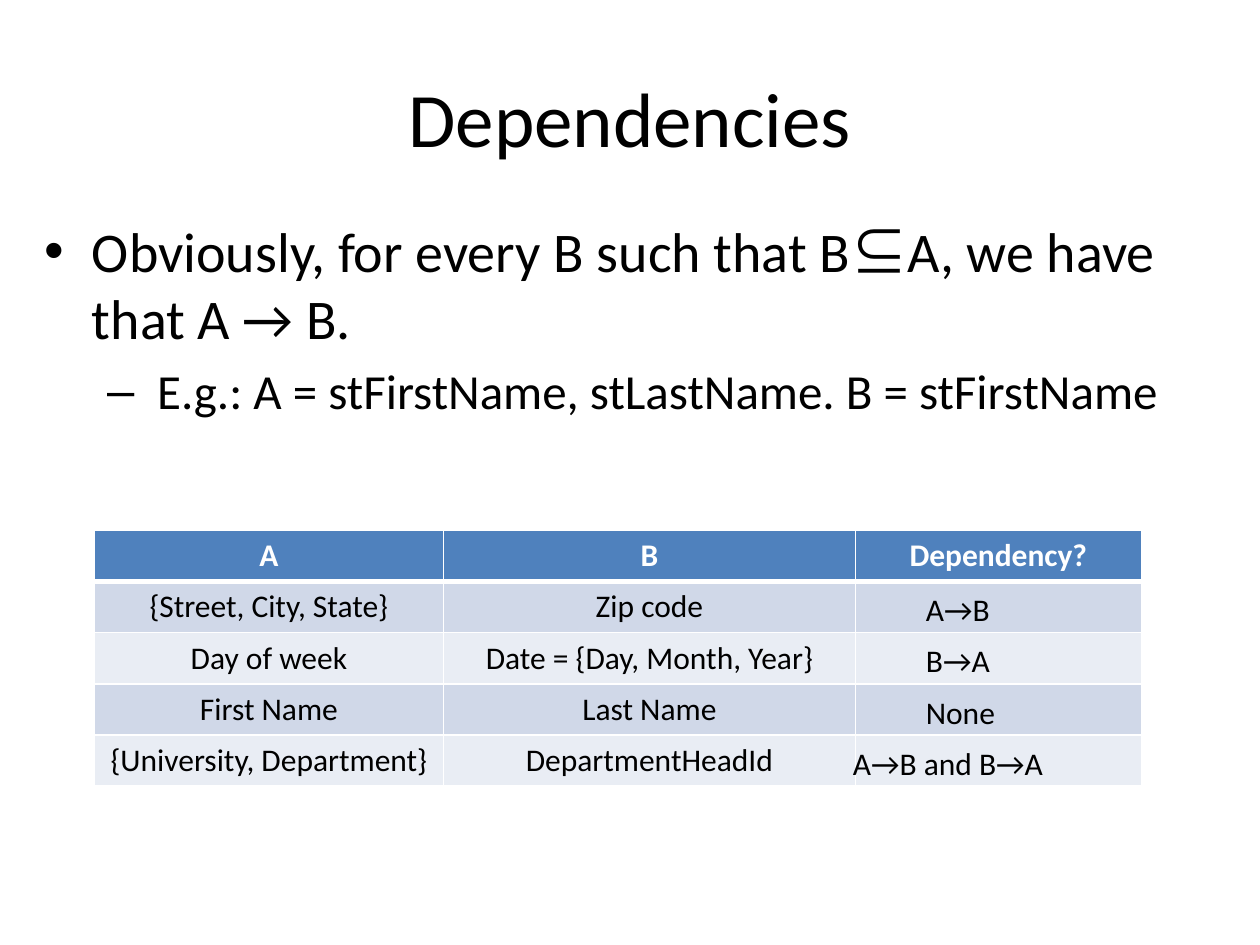
from lxml.etree import SubElement
from pptx import Presentation
from pptx.dml.color import RGBColor
from pptx.enum.text import MSO_ANCHOR, PP_ALIGN as Align
from pptx.oxml.ns import qn
from pptx.util import Inches, Pt

TITLE = "Dependencies"
POINTS = [
    dict(text=["Obviously, for every B such that B", "⊆", "A, we have that A → B."],
         level=0, bullet="•", size="point", margin=0.38, hanging=0.38, before=0),
    dict(text=[" E.g.: A = stFirstName, stLastName. B = stFirstName"],
         level=1, bullet="–", size="example", margin=0.81, hanging=0.31, before=5.6),
]
HEADERS = ["A", "B", "Dependency?"]
PAIRS = [
    ("{Street, City, State}", "Zip code"),
    ("Day of week", "Date = {Day, Month, Year}"),
    ("First Name", "Last Name"),
    ("{University, Department}", "DepartmentHeadId"),
]
ANSWERS = [("A→B", 7.25, 1.17), ("B→A", 7.25, 0.92),
           ("None", 7.25, 0.83), ("A→B and B→A", 6.67, 2.08)]

THEME = dict(
    font="Calibri", symbol_font="Noto Sans CJK JP",
    size=dict(title=44, point=32, example=28, table=18),
    text="000000", header_text="FFFFFF", header="4F81BD",
    bands=("D0D8E8", "E9EDF4"), border="FFFFFF",
)
TABLE_LEFT, TABLE_TOP, ROW_HEIGHT = 0.75, 4.21, 0.406
COLUMNS = [2.77, 3.27, 2.27]
ANSWER_DROP = 0.02


def place(shape, left, top, width, height):
    shape.left, shape.top = Inches(left), Inches(top)
    shape.width, shape.height = Inches(width), Inches(height)


def write(paragraph, *text, size, color="text", bold=False, align=Align.LEFT):
    paragraph.alignment = align
    for part in text:
        run = paragraph.add_run()
        run.text = part
        font = run.font
        font.size, font.bold = Pt(THEME["size"][size]), bold
        font.color.rgb = RGBColor.from_string(THEME[color])
        font.name = THEME["symbol_font" if part == "⊆" else "font"]
        if part == "⊆":
            SubElement(font._element, qn("a:ea"), typeface=THEME["symbol_font"])


def add_bullet(paragraph, mark, margin, hanging):
    props = paragraph._p.get_or_add_pPr()
    props.set("marL", str(Inches(margin)))
    props.set("indent", str(-Inches(hanging)))
    SubElement(props, qn("a:buFont"), typeface="Arial")
    SubElement(props, qn("a:buChar"), char=mark)


def style_cell(cell, fill, top, bottom):
    props = cell._tc.get_or_add_tcPr()
    for side, width in (("L", 1), ("R", 1), ("T", top), ("B", bottom)):
        line = SubElement(props, qn(f"a:ln{side}"), w=str(Pt(width)))
        solid = SubElement(line, qn("a:solidFill"))
        SubElement(solid, qn("a:srgbClr"), val=THEME["border"])
    cell.fill.solid()
    cell.fill.fore_color.rgb = RGBColor.from_string(fill)


def add_points(body):
    place(body, 0.25, 1.67, 9.25, 4.95)
    frame = body.text_frame
    for index, point in enumerate(POINTS):
        paragraph = frame.add_paragraph() if index else frame.paragraphs[0]
        paragraph.level = point["level"]
        add_bullet(paragraph, point["bullet"], point["margin"], point["hanging"])
        paragraph.space_before = Pt(point["before"])
        write(paragraph, *point["text"], size=point["size"])


def add_dependency_table(slide):
    rows = [HEADERS, *PAIRS]
    table = slide.shapes.add_table(
        len(rows), len(COLUMNS), Inches(TABLE_LEFT), Inches(TABLE_TOP),
        Inches(sum(COLUMNS)), Inches(ROW_HEIGHT * len(rows))).table
    for column, width in zip(table.columns, COLUMNS):
        column.width = Inches(width)
    for r, texts in enumerate(rows):
        header = r == 0
        fill = THEME["header"] if header else THEME["bands"][(r - 1) % 2]
        for c in range(len(COLUMNS)):
            style_cell(table.cell(r, c), fill, 3 if r == 1 else 1, 3 if header else 1)
        for c, text in enumerate(texts):
            write(table.cell(r, c).text_frame.paragraphs[0], text, size="table",
                  color="header_text" if header else "text",
                  bold=header, align=Align.CENTER)


def add_answers(slide):
    for row, (answer, left, width) in enumerate(ANSWERS, start=1):
        top = TABLE_TOP + row * ROW_HEIGHT + ANSWER_DROP
        box = slide.shapes.add_textbox(
            Inches(left), Inches(top), Inches(width), Inches(0.4))
        box.text_frame.word_wrap = True
        write(box.text_frame.paragraphs[0], answer, size="table")


def main():
    deck = Presentation()
    deck.slide_width, deck.slide_height = Inches(10), Inches(7.5)
    slide = deck.slides.add_slide(deck.slide_layouts[1])
    title, body = slide.placeholders
    place(title, 0.5, 0.3, 9, 1.25)
    title.text_frame.vertical_anchor = MSO_ANCHOR.MIDDLE
    write(title.text_frame.paragraphs[0], TITLE, size="title", align=Align.CENTER)
    add_points(body)
    add_dependency_table(slide)
    add_answers(slide)
    deck.save("out.pptx")


if __name__ == "__main__":
    main()
